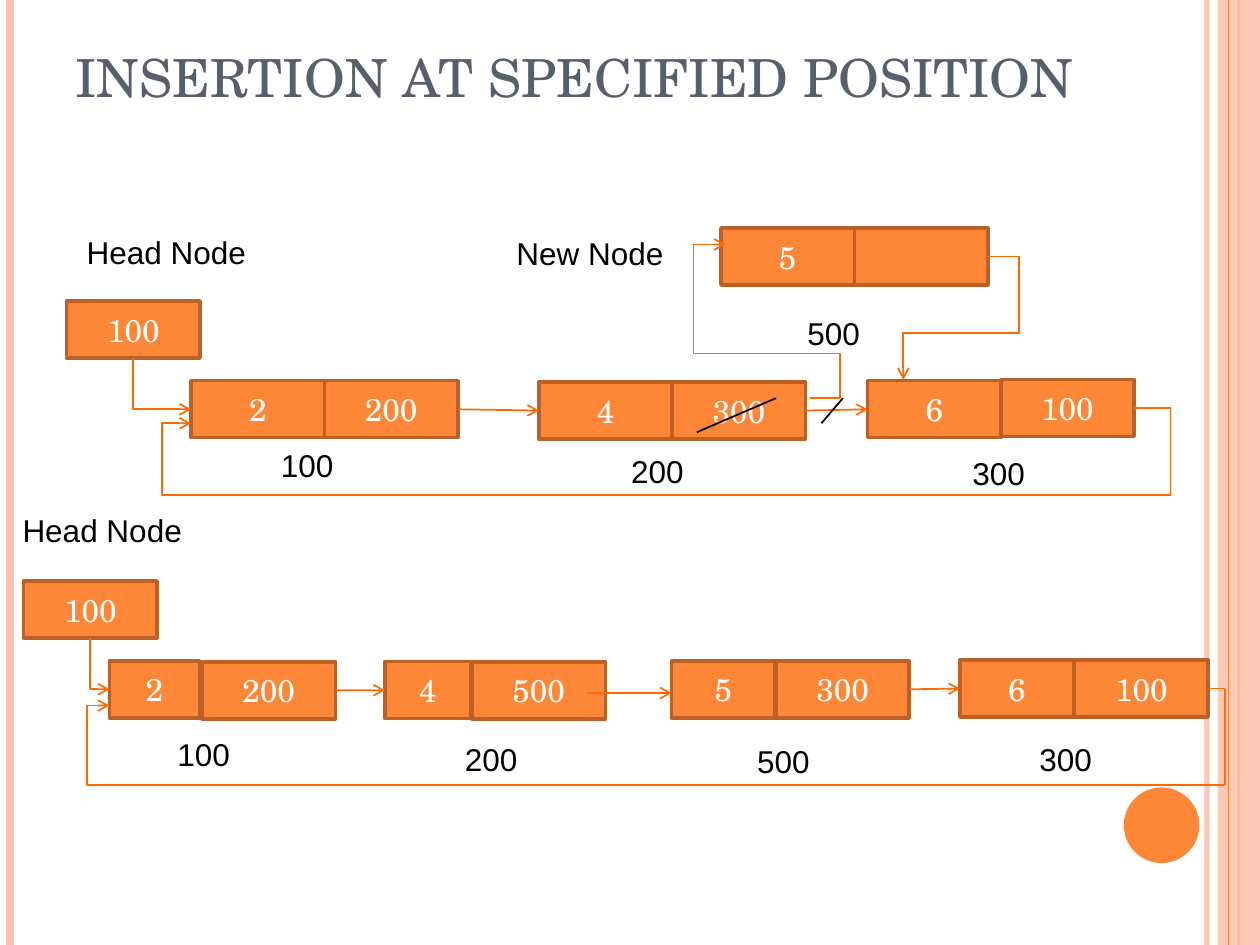
from lxml import etree
from pptx import Presentation
from pptx import util as u
from pptx.dml.color import RGBColor
from pptx.enum import shapes, text
from pptx.oxml.ns import qn

Pt = u.Pt
WHITE = RGBColor(0xFF, 0xFF, 0xFF)
BLACK = RGBColor(0, 0, 0)
SLATE = RGBColor(0x57, 0x5F, 0x6D)
ORANGE = RGBColor(0xFE, 0x86, 0x37)
PEACH = RGBColor(0xFE, 0xC3, 0xAE)
BROWN = RGBColor(0xBB, 0x61, 0x26)
ARROW = RGBColor(0xFF, 0x69, 0x03)
SERIF = "TeX Gyre Schola"
NODE_WIDTH, NODE_HEIGHT = 76.3, 32.6

deck = Presentation()
deck.slide_width, deck.slide_height = Pt(720), Pt(540)
page = deck.slides.add_slide(deck.slide_layouts[5])


def write(box, words, font=SERIF, size=18, color=WHITE,
          align=text.PP_ALIGN.CENTER, anchor=text.MSO_ANCHOR.MIDDLE):
    frame = box.text_frame
    frame.word_wrap = True
    frame.auto_size = text.MSO_AUTO_SIZE.NONE
    frame.vertical_anchor = anchor
    para = frame.paragraphs[0]
    para.alignment = align
    span = para.add_run()
    span.text = words
    span.font.name, span.font.size = font, Pt(size)
    span.font.color.rgb = color


def connect(start, end, color=ARROW, width=1, bend=0, adjust=(), arrow=False):
    (x1, y1), (x2, y2) = start, end
    if bend == 2:
        middle_x, middle_y = (x1 + x2) / 2, (y1 + y2) / 2
        half_x, half_y = (x2 - x1) / 2, (y2 - y1) / 2
        x1, x2 = middle_x + half_y, middle_x - half_y
        y1, y2 = middle_y - half_x, middle_y + half_x
    kind = shapes.MSO_CONNECTOR.ELBOW if bend else shapes.MSO_CONNECTOR.STRAIGHT
    line = page.shapes.add_connector(kind, Pt(x1), Pt(y1), Pt(x2), Pt(y2))
    line.line.color.rgb = color
    line.line.width = Pt(width)
    properties = line._element.spPr
    if bend:
        geometry = properties.find(qn("a:prstGeom"))
        geometry.set("prst", f"bentConnector{bend}")
        guides = geometry.get_or_add_avLst()
        for number, value in enumerate(adjust, 1):
            name = "adj1" if len(adjust) == 1 else f"adj{number}"
            etree.SubElement(guides, qn("a:gd"), name=name,
                             fmla=f"val {round(value * 100000)}")
    if bend == 2:
        properties.find(qn("a:xfrm")).set("rot", "16200000")
    if arrow:
        etree.SubElement(line.line._get_or_add_ln(), qn("a:tailEnd"), type="arrow")
    etree.SubElement(properties, qn("a:effectLst"))
    return line


right_rule = connect((689.8, 0), (689.8, 540), PEACH, 3)
connect((5.8, 0), (5.8, 540), PEACH, 4.5)
connect((707.8, 0), (707.8, 540), ORANGE, 1.5)
decorations = []
for kind, place, color in [
    (shapes.MSO_SHAPE.RECTANGLE, (696, 0, 24, 540), PEACH),
    (shapes.MSO_SHAPE.OVAL, (642.2, 450, 43.2, 43.2), ORANGE),
]:
    decoration = page.shapes.add_shape(kind, *map(Pt, place))
    decoration.shadow.inherit = False
    decoration.fill.solid()
    decoration.fill.fore_color.rgb = color
    decoration.line.fill.background()
    decorations.append(decoration)
connect((702, 0), (702, 540), ORANGE, 0.75)
for part, alpha in [(right_rule, 93), (decorations[0], 87)]:
    paint = part._element.spPr.find(".//" + qn("a:srgbClr"))
    etree.SubElement(paint, qn("a:alpha"), val=str(alpha * 1000))

title = page.shapes.title
title.left, title.top, title.width, title.height = map(Pt, (36, 21.6, 588, 44))
write(title, "INSERTION AT SPECIFIED POSITION", size=30, color=SLATE,
      align=text.PP_ALIGN.LEFT, anchor=text.MSO_ANCHOR.BOTTOM)

boxes = {}
for name, words, left, top, width in [
    ("before last link", "100", 571.8, 216.8, NODE_WIDTH),
    ("before head", "100", 38, 172, NODE_WIDTH),
    ("before 2", "2", 109.2, 217.6, NODE_WIDTH),
    ("before 2 link", "200", 185.4, 217.6, NODE_WIDTH),
    ("before 4", "4", 307.9, 218.3, NODE_WIDTH),
    ("before 4 link", "300", 384.1, 218.3, NODE_WIDTH),
    ("before 6", "6", 495.8, 217.6, NODE_WIDTH),
    ("new 5", "5", 412, 130.3, NODE_WIDTH),
    ("new link", "", 488.2, 130.3, NODE_WIDTH),
    ("after last link", "100", 614, 377.2, NODE_WIDTH),
    ("after head", "100", 13.5, 332, NODE_WIDTH),
    ("after 2", "2", 62.6, 377.6, 51.4),
    ("after 2 link", "200", 115.4, 378.2, NODE_WIDTH),
    ("after 4", "4", 220, 378.1, 48.9),
    ("after 5 link", "300", 443.3, 377.6, NODE_WIDTH),
    ("after 6", "6", 548.6, 377.2, 65),
    ("after 5", "5", 383.8, 377.6, 59.2),
    ("after 4 link", "500", 269.7, 378.2, NODE_WIDTH),
]:
    box = page.shapes.add_shape(shapes.MSO_SHAPE.RECTANGLE, Pt(left), Pt(top),
                                Pt(width), Pt(NODE_HEIGHT))
    box.shadow.inherit = False
    box.fill.solid()
    box.fill.fore_color.rgb = ORANGE
    box.line.color.rgb = BROWN
    box.line.width = Pt(2)
    if words:
        write(box, words)
    boxes[name] = box

for words, left, top in [
    ("Head Node", 42.5, 129.6), ("New Node", 288, 130.3), ("500", 454.3, 175.7),
    ("100", 153.4, 251.6), ("200", 353.5, 254.6), ("300", 548.6, 255.7),
    ("Head Node", 5.8, 288.7), ("100", 94.3, 416.2), ("200", 258.5, 419.3),
    ("500", 425.5, 420.6), ("300", 586.8, 419.3),
]:
    label = page.shapes.add_textbox(Pt(left), Pt(top),
                                    Pt(113 if "Node" in words else 61.2), Pt(28.8))
    write(label, words, font="Arial", color=BLACK,
          align=text.PP_ALIGN.LEFT, anchor=text.MSO_ANCHOR.TOP)

for source, target in [
    ("before 2 link", "before 4"), ("before 4 link", "before 6"),
    ("after 2 link", "after 4"), ("after 5 link", "after 6"),
]:
    line = connect((0, 0), (10, 10), arrow=True)
    line.begin_connect(boxes[source], 3)
    line.end_connect(boxes[target], 1)
connect((335.5, 396), (383.8, 396), arrow=True)

connect((76.2, 204.6), (109.2, 233.9), bend=2, arrow=True)
connect((51.5, 364.6), (62.6, 393.9), bend=2, arrow=True)

connect((481.7, 227.5), (469.4, 241.9), BLACK)
connect((443.5, 227.5), (398.2, 247), BLACK)
connect((463, 227.5), (414.7, 139.7), bend=5,
        adjust=(-0.35, 0.29, 1.38), arrow=True)
connect((564.1, 146.6), (516.2, 216.9), bend=4, adjust=(-0.38, 0.62), arrow=True)

for name, corner, drop, end, overshoot in [
    ("before last link", (668.9, 233.1), 283, (109.2, 241.9), 1.03),
    ("after last link", (700, 393.5), 448.6, (62.6, 403.2), 1.02),
]:
    stub = connect((0, 0), corner)
    stub.begin_connect(boxes[name], 3)
    connect(corner, (corner[0], drop))
    connect((corner[0], drop), end, bend=3, adjust=(overshoot,), arrow=True)

deck.save("out.pptx")
